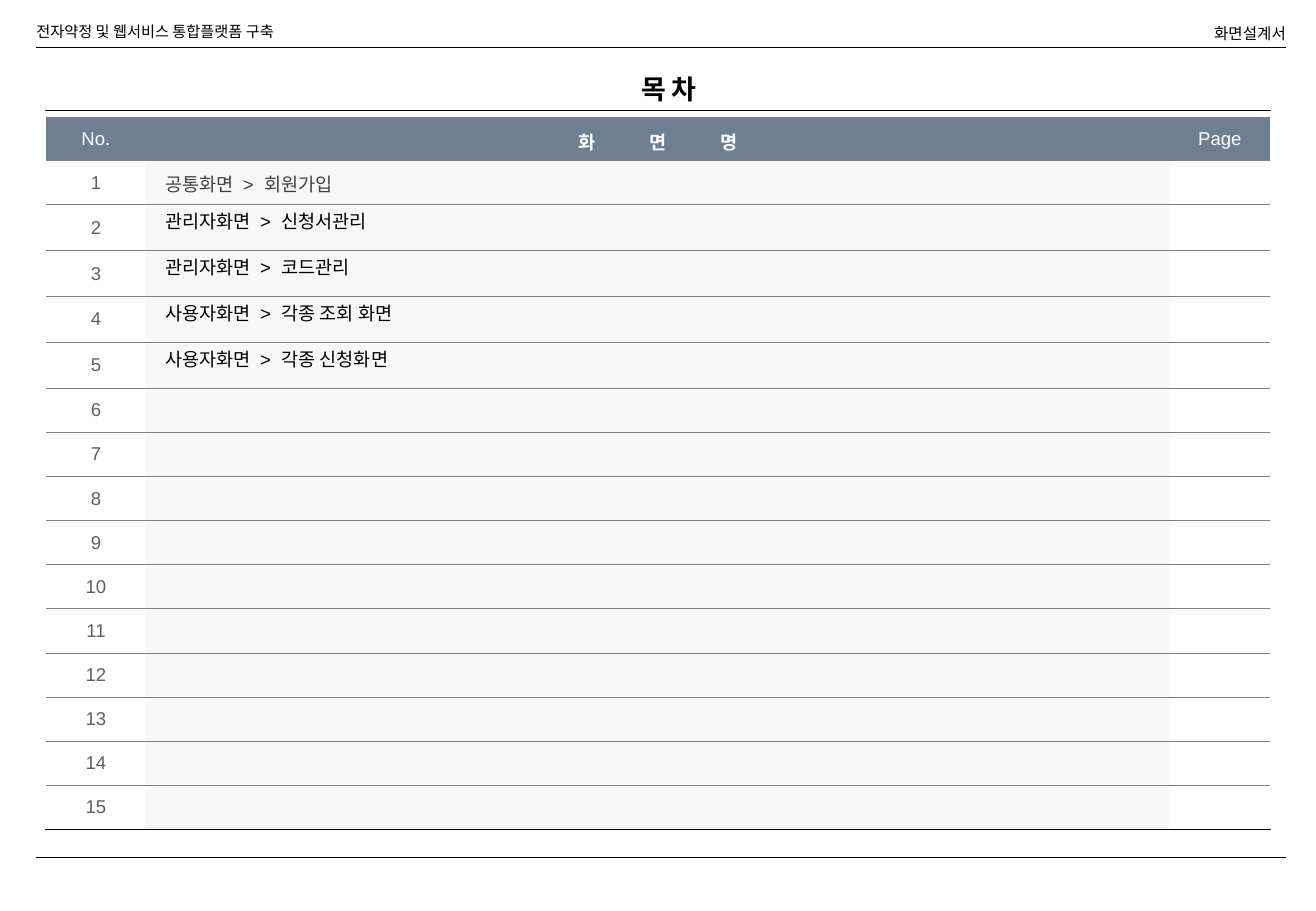
import pptx
import pptx.dml.color
import pptx.enum.shapes
import pptx.enum.text
import pptx.oxml
import pptx.oxml.ns
import pptx.util
from pptx.util import Inches

COLORS = {"black": "000000", "white": "FFFFFF", "header": "6E7F91", "band": "F7F7F8",
          "number": "5F5F5F", "first": "404040", "rule": "808080"}
ALIGN = pptx.enum.text.PP_ALIGN
MIDDLE = pptx.enum.text.MSO_ANCHOR.MIDDLE
HANGUL_FONT = "Noto Sans CJK KR"
SCREENS = ["공통화면 > 회원가입", "관리자화면 > 신청서관리", "관리자화면 > 코드관리",
           "사용자화면 > 각종 조회 화면", "사용자화면 > 각종 신청화면"]
ROWS = 16
COLUMN_WIDTHS = [0.82, 8.43, 0.82]


def rgb(name):
    return pptx.dml.color.RGBColor.from_string(COLORS[name])


def write(frame, pieces, color, size=11, bold=False, align=ALIGN.LEFT, font="Arial"):
    """Fill the first paragraph with (text, letter spacing in points) pieces."""
    para = frame.paragraphs[0]
    para.alignment = align
    for text, spacing in pieces:
        span = para.add_run()
        span.text = text
        look = {"size": pptx.util.Pt(size), "bold": bold, "name": font}
        for key, value in look.items():
            setattr(span.font, key, value)
        span.font.color.rgb = rgb(color)
        properties = span.font._element
        properties.set("spc", str(round(spacing * 100)))
        hangul = pptx.oxml.parse_xml(
            f'<a:ea {pptx.oxml.ns.nsdecls("a")} typeface="{HANGUL_FONT}"/>')
        properties.find(pptx.oxml.ns.qn("a:latin")).addnext(hangul)
    return para


deck = pptx.Presentation()
deck.slide_width, deck.slide_height = Inches(10.83), Inches(7.5)
page = deck.slides.add_slide(deck.slide_layouts[6])

# Horizontal rules: left, right, height on the page, weight
for left, right, top, weight in [(0.3, 10.58, 0.39, 1), (0.3, 10.58, 7.06, 1),
                                 (0.37, 10.46, 6.83, 0.75), (0.37, 10.46, 0.91, 0.75)]:
    rule = page.shapes.add_connector(pptx.enum.shapes.MSO_CONNECTOR.STRAIGHT,
                                     Inches(left), Inches(top), Inches(right), Inches(top))
    rule.line.color.rgb = rgb("black")
    rule.line.width = pptx.util.Pt(weight)
    rule._element.spPr.append(
        pptx.oxml.parse_xml(f'<a:effectLst {pptx.oxml.ns.nsdecls("a")}/>'))

# Running heads and title
HEADINGS = [
    ("화면설계서", (8.4, 0.16, 2.28, 0.23), MIDDLE, {"size": 9.2, "align": ALIGN.RIGHT}),
    ("전자약정 및 웹서비스 통합플랫폼 구축", (0.2, 0.12, 3.51, 0.27), MIDDLE, {"size": 9}),
    ("목 차", (0.3, 0.39, 10.27, 0.53), pptx.enum.text.MSO_ANCHOR.TOP,
     {"size": 16, "bold": True, "align": ALIGN.CENTER, "font": HANGUL_FONT}),
]
for text, place, anchor, look in HEADINGS:
    box = page.shapes.add_textbox(*map(Inches, place))
    box.text_frame.word_wrap = True
    box.text_frame.vertical_anchor = anchor
    para = write(box.text_frame, [(text, 0)], "black", **look)
para.line_spacing = 1.6
para._p.get_or_add_pPr().set("marL", str(Inches(0.14)))

# Contents table
frame = page.shapes.add_table(ROWS, 3, Inches(0.38), Inches(0.96), Inches(10.07), Inches(5.87))
table = frame.table
table.first_row = table.horz_banding = False
for column, width in zip(table.columns, COLUMN_WIDTHS):
    column.width = Inches(width)

for number, row in enumerate(table.rows):
    shifted = 2 <= number <= len(SCREENS)
    row.height = Inches(0.378 if shifted else 0.363)
    for index, cell in enumerate(row.cells):
        ruled = {"L": False, "R": False, "T": number > 0, "B": number < ROWS - 1}
        for side, visible in ruled.items():
            paint = (f'<a:solidFill><a:srgbClr val="{COLORS["rule"]}"/></a:solidFill>'
                     if visible else "<a:noFill/>")
            cell._tc.get_or_add_tcPr().append(pptx.oxml.parse_xml(
                f'<a:ln{side} {pptx.oxml.ns.nsdecls("a")} w="6350">{paint}</a:ln{side}>'))
        fill = "header" if number == 0 else [None, "band", "white"][index]
        if fill:
            cell.fill.solid()
            cell.fill.fore_color.rgb = rgb(fill)
        else:
            cell.fill.background()
        layout = {"vertical_anchor": MIDDLE, "margin_top": 0, "margin_bottom": 0,
                  "margin_left": Inches(0.09), "margin_right": Inches(0.09)}
        if index == 1 and number == 0:
            layout["margin_top"] = Inches(0.05)
        elif index == 1:
            layout.update(margin_left=Inches(0.16), margin_right=Inches(0.01),
                          margin_top=Inches(0.01),
                          margin_bottom=Inches(0.13 if shifted else 0))
        for key, value in layout.items():
            setattr(cell, key, value)

        if number == 0:
            label = [[("No.", 0)], [("화 면 ", 14.75), ("명", 0)], [("Page", 0)]][index]
            write(cell.text_frame, label, "white", bold=index == 1, align=ALIGN.CENTER)
        elif index == 0:
            write(cell.text_frame, [(str(number), 0)], "number", align=ALIGN.CENTER)
        elif index == 1 and number <= len(SCREENS):
            area, screen = SCREENS[number - 1].split(" > ")
            pieces = [(area, 0), (" ", 3), (">", 0), (" ", 3), (screen, 0)]
            write(cell.text_frame, pieces, "first" if number == 1 else "black")

deck.save("out.pptx")
